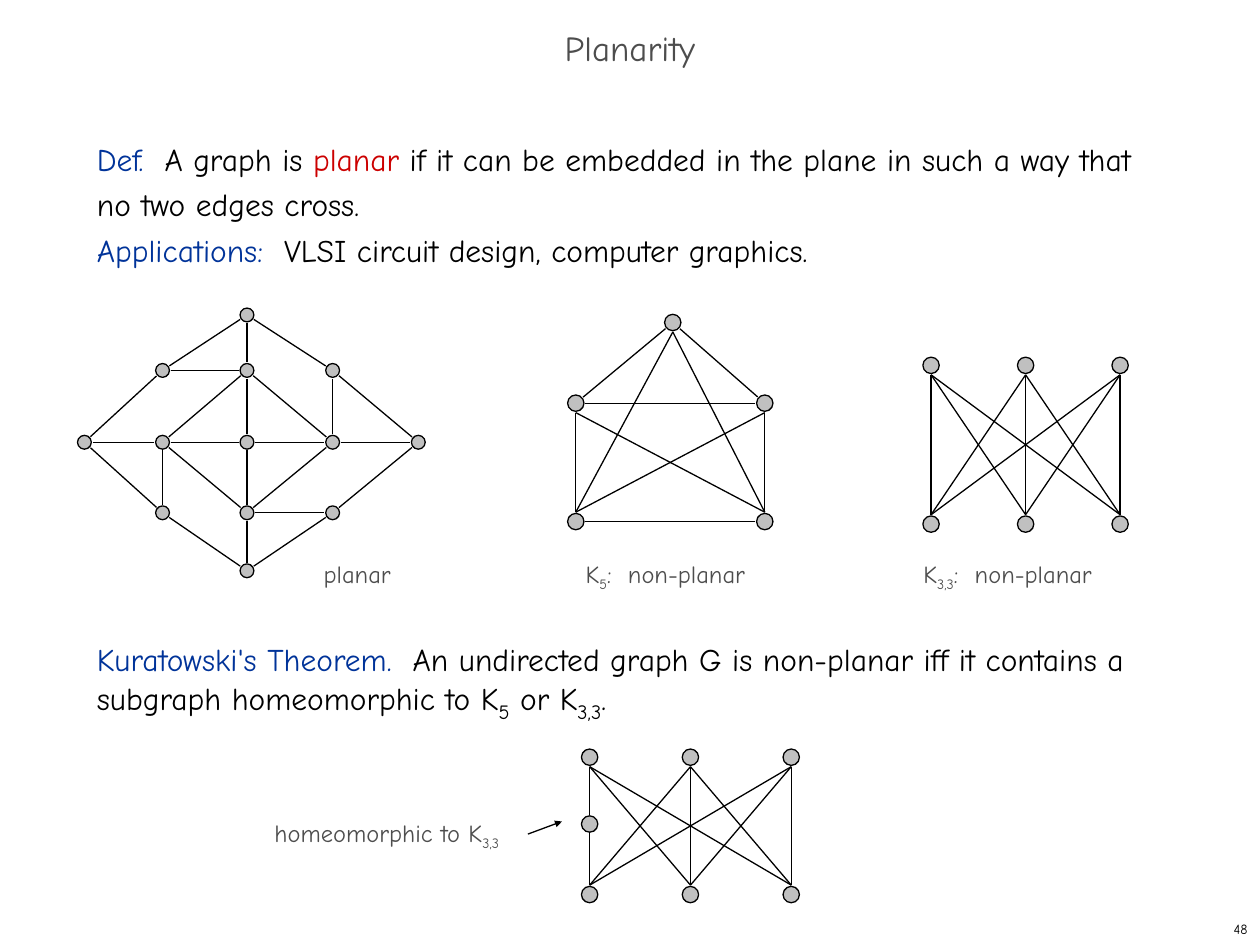
"""Build a slide on planar graphs with four node-and-edge drawings."""
import itertools
import math

import pptx
import pptx.dml.color
import pptx.enum.shapes
import pptx.enum.text
import pptx.oxml
import pptx.oxml.ns
import pptx.util

Inches = pptx.util.Inches
Pt = pptx.util.Pt
ALIGN = pptx.enum.text.PP_ALIGN
ANCHOR = pptx.enum.text.MSO_ANCHOR
FONT = "Comic Neue"
COLORS = {"ink": "000000", "gray": "4D4D4D", "blue": "003399", "red": "CC0000", "node": "C0C0C0"}


def color(name):
    return pptx.dml.color.RGBColor.from_string(COLORS[name])


def add_run(paragraph, text, color_name, subscript_size=None):
    run = paragraph.add_run()
    run.text = text
    run.font.color.rgb = color(color_name)
    if subscript_size:
        run.font.size = Pt(subscript_size)
        run._r.get_or_add_rPr().set("baseline", "-25000")


def add_text(slide, box, paragraphs, size, align=ALIGN.LEFT, anchor=ANCHOR.TOP, line_spacing=None):
    frame = slide.shapes.add_textbox(*map(Inches, box)).text_frame
    frame.word_wrap = True
    frame.vertical_anchor = anchor
    for index, runs in enumerate(paragraphs):
        paragraph = frame.add_paragraph() if index else frame.paragraphs[0]
        paragraph.alignment = align
        paragraph.line_spacing = line_spacing
        paragraph.font.name = FONT
        paragraph.font.size = Pt(size)
        for run in runs:
            add_run(paragraph, *run)
    return frame


def add_line(shapes, start, end, arrow=False):
    line = shapes.add_connector(
        pptx.enum.shapes.MSO_CONNECTOR.STRAIGHT, *map(Inches, (*start, *end)))
    line.line.color.rgb = color("ink")
    line.line.width = Pt(0.75)
    properties = line._element.spPr
    if arrow:
        tail = pptx.oxml.parse_xml(
            f'<a:tailEnd {pptx.oxml.ns.nsdecls("a")} type="triangle" w="sm" len="sm"/>')
        line.line._get_or_add_ln().append(tail)
    properties.append(pptx.oxml.parse_xml(f'<a:effectLst {pptx.oxml.ns.nsdecls("a")}/>'))


def add_node(shapes, center, diameter):
    left, top = (value - diameter / 2 for value in center)
    node = shapes.add_shape(
        pptx.enum.shapes.MSO_SHAPE.OVAL, *map(Inches, (left, top, diameter, diameter)))
    node.shadow.inherit = False
    node.fill.solid()
    node.fill.fore_color.rgb = color("node")
    node.line.color.rgb = color("ink")
    node.line.width = Pt(0.75)


def add_radial_edge(shapes, start, end, gap):
    angle = math.atan2(end[1] - start[1], end[0] - start[0])
    dx, dy = gap * math.cos(angle), gap * math.sin(angle)
    add_line(shapes, (start[0] + dx, start[1] + dy), (end[0] - dx, end[1] - dy))


def add_upright_edge(shapes, upper, lower, gap):
    add_line(shapes, (upper[0], upper[1] + gap), (lower[0], lower[1] - gap))


def add_graph(slide, nodes, diameter, radial=(), upright=()):
    shapes = slide.shapes.add_group_shape().shapes
    gap = diameter / 2 + 0.01
    for start, end in radial:
        add_radial_edge(shapes, start, end, gap)
    for upper, lower in upright:
        add_upright_edge(shapes, upper, lower, gap)
    for center in nodes:
        add_node(shapes, center, diameter)


def add_planar_graph(slide):
    columns = (0.67, 1.29, 1.96, 2.64, 3.32)
    rows = (2.5, 2.94, 3.51, 4.07, 4.53)
    cells = {
        "north": (2, 0), "northwest": (1, 1), "upper": (2, 1), "northeast": (3, 1),
        "west": (0, 2), "left": (1, 2), "center": (2, 2), "right": (3, 2), "east": (4, 2),
        "southwest": (1, 3), "lower": (2, 3), "southeast": (3, 3), "south": (2, 4),
    }
    nodes = {name: (columns[column], rows[row]) for name, (column, row) in cells.items()}
    trails = (
        "north northeast east southeast south southwest west northwest north",
        "north upper center lower south",
        "west left center right east",
        "upper right lower left upper",
        "northwest upper", "northeast right", "lower southeast", "left southwest",
    )
    edges = [(nodes[start], nodes[end]) for trail in trails
             for start, end in itertools.pairwise(trail.split())]
    add_graph(slide, nodes.values(), 0.11, edges)


def add_complete_graph(slide):
    apex = (5.34, 2.56)
    upper_left, upper_right = (4.57, 3.2), (6.07, 3.2)
    lower_left, lower_right = (4.57, 4.14), (6.07, 4.14)
    radial = [(apex, upper_left), (apex, upper_right),
              (upper_left, upper_right), (lower_left, lower_right)]
    upright = itertools.product((apex, upper_left, upper_right), (lower_left, lower_right))
    nodes = (apex, upper_left, upper_right, lower_left, lower_right)
    add_graph(slide, nodes, 0.13, radial, upright)


def add_bipartite_graph(slide, left, step, top, bottom, middle=None):
    uppers, lowers = ([(left + step * index, y) for index in range(3)] for y in (top, bottom))
    nodes = uppers + lowers
    edges = list(itertools.product(uppers, lowers))
    if middle:
        extra = (left, middle)
        nodes.append(extra)
        edges[0:1] = [(uppers[0], extra), (extra, lowers[0])]
    add_graph(slide, nodes, 0.13, upright=edges)


def add_body(slide):
    paragraphs = [
        [("Def.  ", "blue"), ("A graph is ", "ink"), ("planar", "red"),
         (" if it can be embedded in the plane in such a way that no two edges cross.", "ink")],
        [("Applications:  ", "blue"), ("VLSI circuit design, computer graphics.", "ink")],
        [("Kuratowski's Theorem.  ", "blue"),
         ("An undirected graph G is non-planar iff it contains a subgraph homeomorphic to K", "ink"),
         ("5", "ink", 20), (" or K", "ink"), ("3,3", "ink", 20), (".", "ink")],
    ]
    frame = add_text(slide, (0.67, 1, 8.58, 5.92), paragraphs, 18, line_spacing=Pt(26))
    frame.paragraphs[2].space_before = Pt(8 * 26)


def add_caption(slide, box, *parts):
    runs = [(text, "gray", 14 if index == 1 else None) for index, text in enumerate(parts)]
    add_text(slide, box, [runs], 14)


def main():
    presentation = pptx.Presentation()
    presentation.slide_width, presentation.slide_height = Inches(10), Inches(7.5)
    slide = presentation.slides.add_slide(presentation.slide_layouts[6])
    add_body(slide)
    add_text(slide, (0, 0.17, 10, 0.5), [[("Planarity", "gray")]], 20,
             ALIGN.CENTER, ANCHOR.MIDDLE, 0.7)
    add_planar_graph(slide)
    add_complete_graph(slide)
    add_bipartite_graph(slide, 7.39, 0.75, 2.9, 4.16)
    add_bipartite_graph(slide, 4.68, 0.8, 6.01, 7.1, middle=6.54)
    add_caption(slide, (2.47, 4.39, 1.68, 0.33), "planar")
    add_caption(slide, (4.55, 4.39, 2.13, 0.37), "K", "5", ":  non-planar")
    add_caption(slide, (7.23, 4.39, 2.41, 0.37), "K", "3,3", ":  non-planar")
    add_caption(slide, (2.08, 6.44, 2.22, 0.37), "homeomorphic to K", "3,3")
    add_line(slide.shapes, (4.19, 6.62), (4.46, 6.52), arrow=True)
    add_text(slide, (7.92, 7.25, 2.08, 0.25), [[("48", "ink")]], 8, ALIGN.RIGHT, ANCHOR.MIDDLE)
    presentation.save("out.pptx")


if __name__ == "__main__":
    main()
